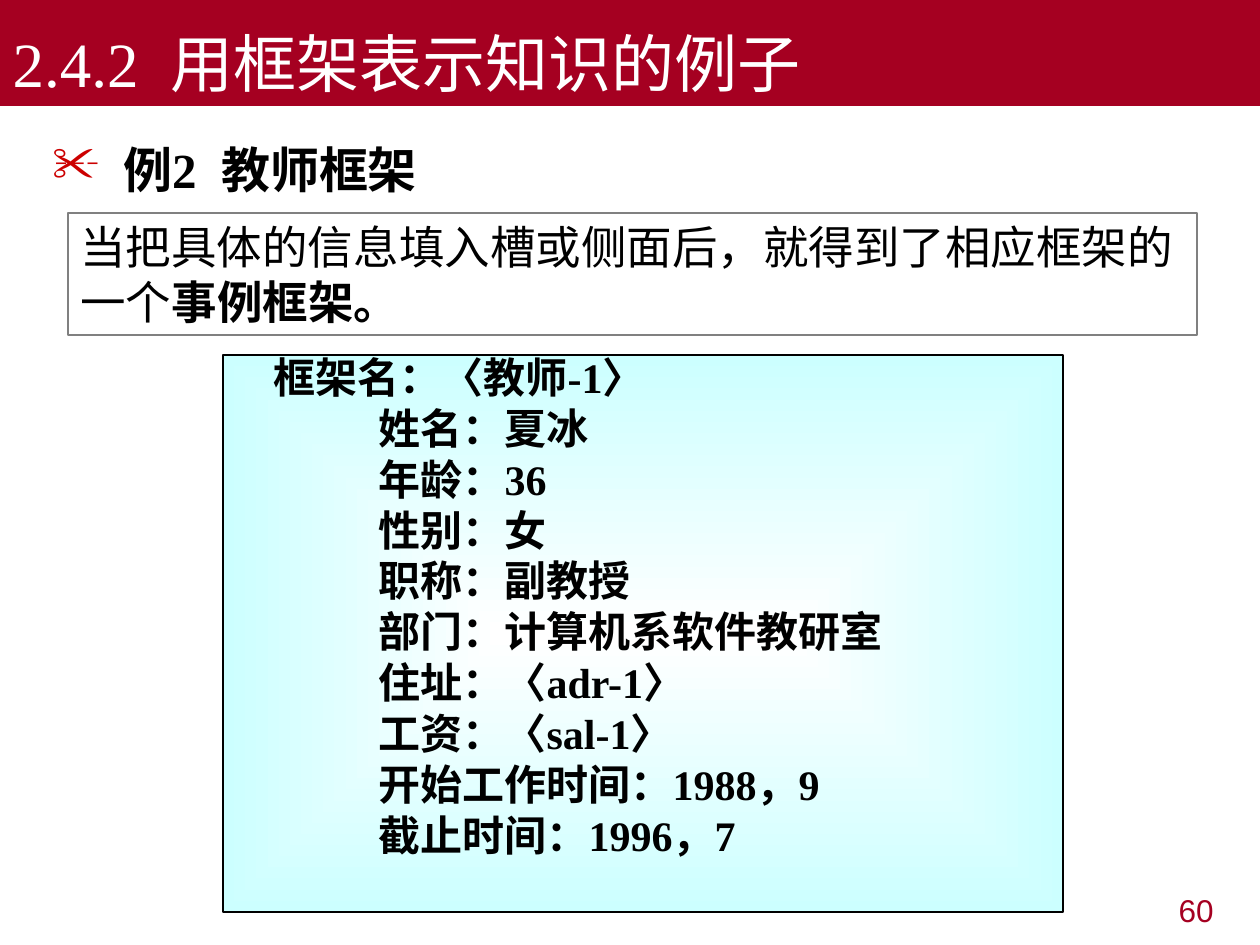
from lxml.etree import SubElement
from pptx import Presentation
from pptx.dml.color import RGBColor
from pptx.enum.shapes import MSO_SHAPE
from pptx.enum.text import MSO_ANCHOR, MSO_AUTO_SIZE, PP_ALIGN
from pptx.oxml.ns import qn
from pptx.util import Pt

PX = 914400 // 126
SERIF = "Times New Roman"
SANS = "Arial"
COLORS = {
    "crimson": "A50021",
    "scissors": "CC0000",
    "ice": "CCFFFF",
    "white": "FFFFFF",
    "grey": "808080",
    "black": "000000",
}
TEACHER_SLOTS = [
    "姓名：夏冰",
    "年龄：36",
    "性别：女",
    "职称：副教授",
    "部门：计算机系软件教研室",
    "住址：〈adr-1〉",
    "工资：〈sal-1〉",
    "开始工作时间：1988，9",
    "截止时间：1996，7",
]


def rgb(name):
    """Return the named colour."""
    return RGBColor.from_string(COLORS[name])


def box(left, top, width, height):
    """Turn a pixel box into EMU lengths."""
    return [value * PX for value in (left, top, width, height)]


def place(shape, *bounds):
    """Move a placeholder to a pixel box."""
    shape.left, shape.top, shape.width, shape.height = box(*bounds)


def prepare_frame(shape, anchor=MSO_ANCHOR.TOP):
    """Set wrapping, sizing and anchor, and return the text frame."""
    frame = shape.text_frame
    frame.word_wrap = True
    frame.auto_size = MSO_AUTO_SIZE.NONE
    frame.vertical_anchor = anchor
    return frame


def add_text(paragraph, text, size, font=SANS, color="black", bold=False, spacing=0):
    """Append a formatted run, with letter spacing in points."""
    run = paragraph.add_run()
    run.text = text
    run.font.size = Pt(size)
    run.font.name = font
    run.font.bold = bold
    run.font.color.rgb = rgb(color)
    if spacing:
        run.font._element.set("spc", str(spacing * 100))


def set_indent(paragraph, margin, first=0, bullet=None):
    """Set pixel indents and an optional bullet."""
    properties = paragraph._p.get_or_add_pPr()
    properties.set("marL", str(margin * PX))
    properties.set("indent", str(first * PX))
    if bullet:
        bullet_color = SubElement(properties, qn("a:buClr"))
        SubElement(bullet_color, qn("a:srgbClr"), val=COLORS["scissors"])
        SubElement(properties, qn("a:buChar"), char=bullet)
    else:
        SubElement(properties, qn("a:buNone"))


def fill_from_center(shape, inner, outer):
    """Give a shape a rectangular gradient from its centre."""
    shape.fill.gradient()
    for stop, name in zip(shape.fill.gradient_stops, (inner, outer)):
        stop.color.rgb = rgb(name)
    gradient = shape._element.spPr.find(qn("a:gradFill"))
    gradient.remove(gradient.find(qn("a:lin")))
    path = SubElement(gradient, qn("a:path"), path="rect")
    sides = dict.fromkeys("ltrb", "50000")
    SubElement(path, qn("a:fillToRect"), **sides)


def outline(shape, color):
    """Draw a thin border."""
    shape.line.color.rgb = rgb(color)
    shape.line.width = Pt(0.75)


def add_title(slide):
    """Fill the title band."""
    title = slide.shapes.title
    place(title, 0, 0, 1260, 106)
    title.fill.solid()
    title.fill.fore_color.rgb = rgb("crimson")
    heading = prepare_frame(title, MSO_ANCHOR.BOTTOM).paragraphs[0]
    heading.alignment = PP_ALIGN.LEFT
    style = dict(size=36, font=SERIF, color="white")
    add_text(heading, "2.4.2", **style)
    add_text(heading, " ", spacing=9, **style)
    add_text(heading, "用框架表示知识的例子", **style)


def add_teacher_frame(slide):
    """List the slots of the teacher frame in the body."""
    body = slide.placeholders[1]
    place(body, 223, 355, 840, 557)
    fill_from_center(body, "white", "ice")
    outline(body, "black")
    frame = prepare_frame(body)
    for index, text in enumerate(["框架名：〈教师-1〉", *TEACHER_SLOTS]):
        slot = frame.add_paragraph() if index else frame.paragraphs[0]
        set_indent(slot, 143 if index else 38)
        slot.line_spacing = 0.8
        slot.space_before = Pt(6 if index else 12)
        add_text(slot, text, size=24, font=SERIF, bold=True)
    slot.space_after = Pt(12)


def add_example_heading(slide):
    """Add the bulleted example heading."""
    heading = slide.shapes.add_textbox(*box(40, 127, 457, 78))
    line = prepare_frame(heading).paragraphs[0]
    line.line_spacing = 1.1
    line.space_before = Pt(7)
    set_indent(line, 71, -71, bullet="✂")
    style = dict(size=28, bold=True)
    add_text(line, "例2", font=SERIF, **style)
    add_text(line, " ", font=SERIF, spacing=7, **style)
    add_text(line, "教师框架", **style)


def add_explanation(slide):
    """Add the bordered explanation."""
    explanation = slide.shapes.add_shape(MSO_SHAPE.RECTANGLE, *box(68, 213, 1129, 122))
    explanation.shadow.inherit = False
    explanation.fill.solid()
    explanation.fill.fore_color.rgb = rgb("white")
    outline(explanation, "grey")
    sentence = prepare_frame(explanation).paragraphs[0]
    sentence.alignment = PP_ALIGN.LEFT
    sentence.space_before = Pt(16.2)
    add_text(sentence, "当把具体的信息填入槽或侧面后，就得到了相应框架的一个", size=26)
    add_text(sentence, "事例框架。", size=26, bold=True)


def add_page_number(slide):
    """Add the page number at the lower right."""
    page_number = slide.shapes.add_textbox(*box(932, 885, 294, 66))
    line = prepare_frame(page_number).paragraphs[0]
    line.alignment = PP_ALIGN.RIGHT
    add_text(line, "60", size=18, color="crimson")


def main():
    """Build and save the slide."""
    deck = Presentation()
    deck.slide_width, deck.slide_height = 1260 * PX, 945 * PX
    slide = deck.slides.add_slide(deck.slide_layouts[1])
    add_page_number(slide)
    add_title(slide)
    add_teacher_frame(slide)
    add_example_heading(slide)
    add_explanation(slide)
    deck.save("out.pptx")


if __name__ == "__main__":
    main()
